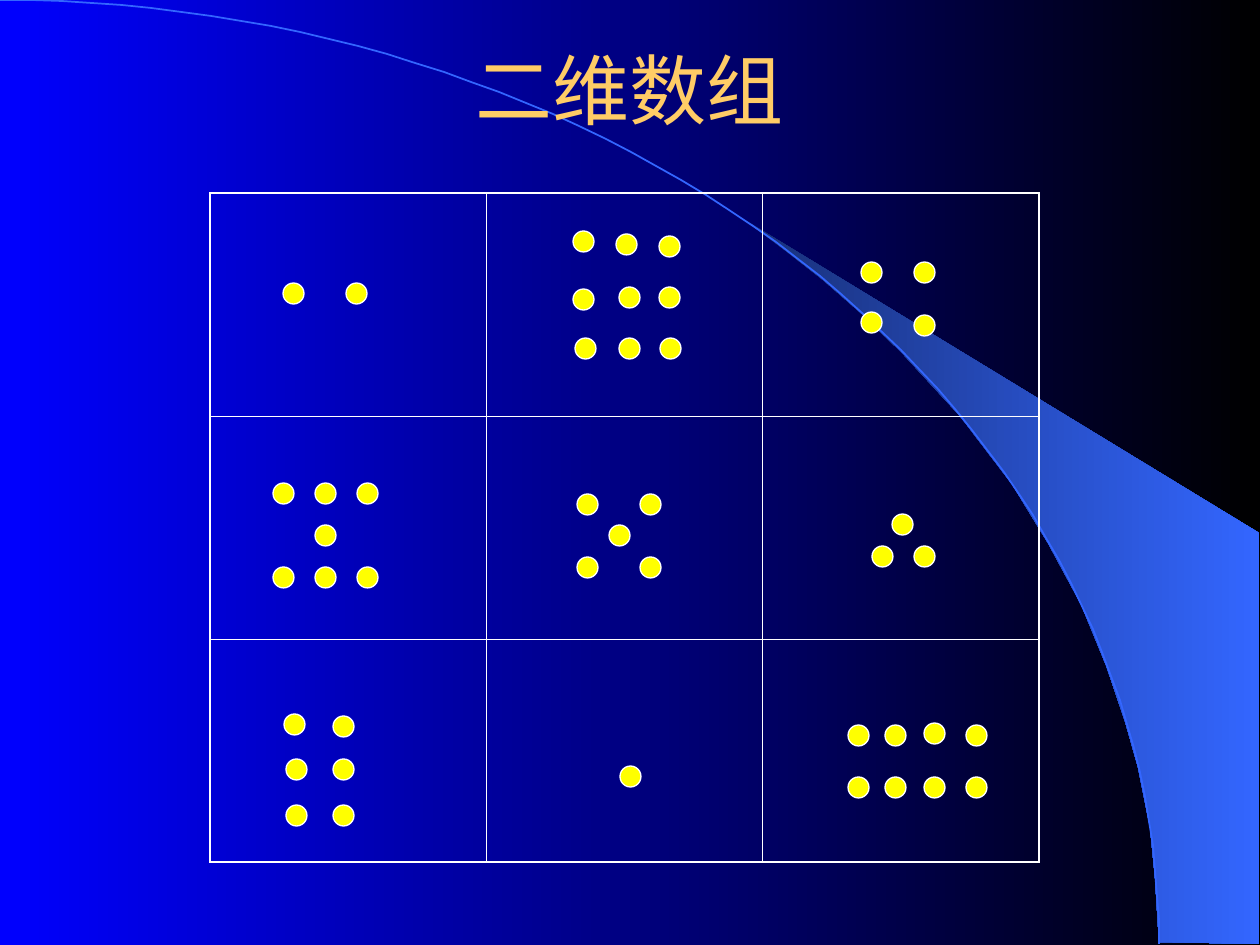
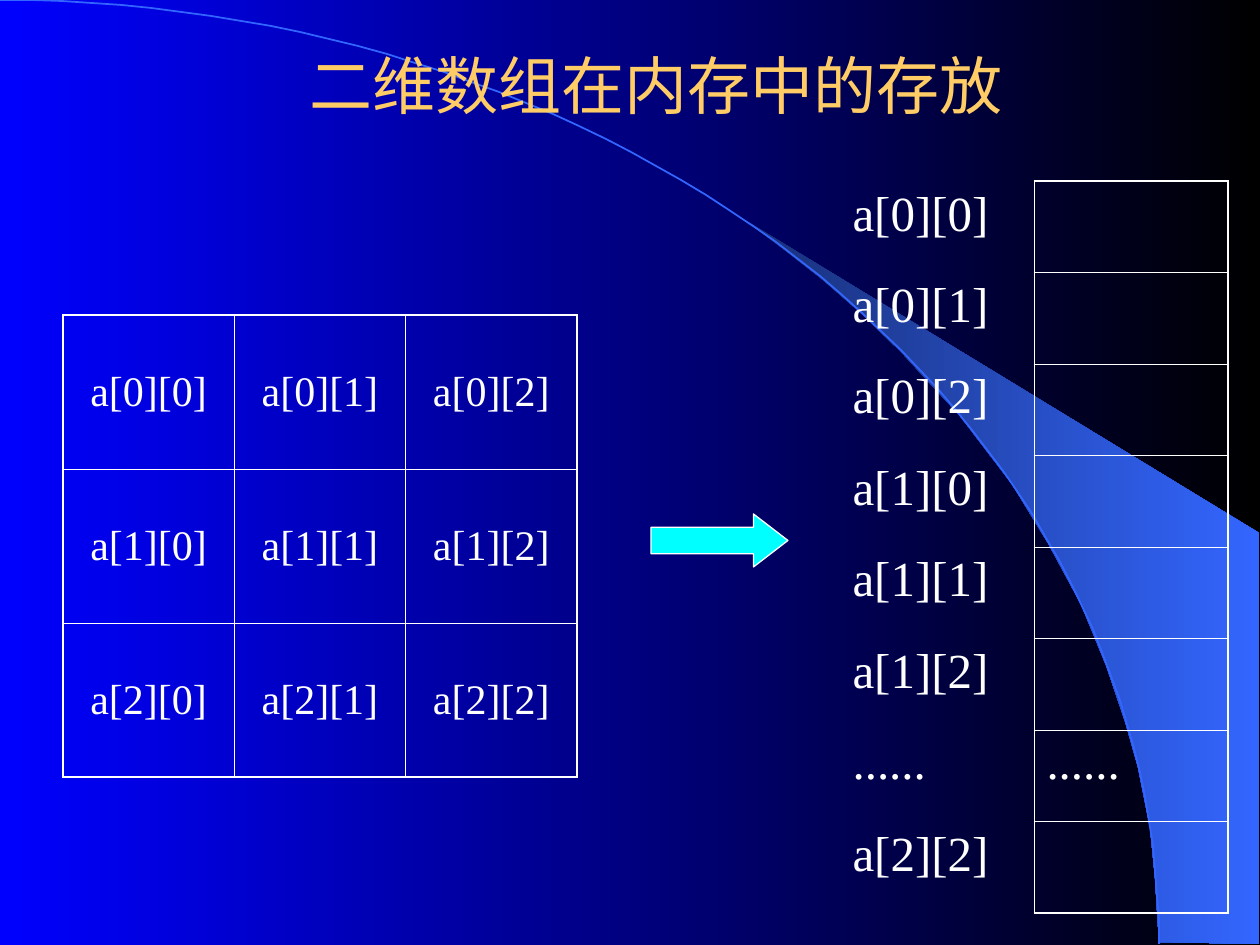
"""Build two slides on two-dimensional arrays and how memory holds them."""
from itertools import product
from math import cos, pi, sin

from lxml.etree import SubElement
from pptx import Presentation
from pptx.dml.color import RGBColor
from pptx.enum.shapes import MSO_SHAPE as Preset
from pptx.enum.text import MSO_ANCHOR as Anchor, PP_ALIGN as Align
from pptx.oxml.ns import qn
from pptx.util import Emu, Pt

PX = 914400 / 126
WIDTH, HEIGHT = 1260, 945
COLORS = {
    "back_start": "0000FF", "back_end": "000000",
    "wing_start": "182F76", "wing_end": "3366FF",
    "title": "FFCC66", "white": "FFFFFF", "dot": "FFFF00", "arrow": "00FFFF",
}
FONTS = {"title": "Arial", "body": "Times New Roman"}
OUTER, INNER = 1.08, 0.45
DOT_SIZE = 21
WING = [
    (1159, 942), (1259, 944), (1259, 533), (742, 218), (786, 251), (823, 280),
    (863, 315), (902, 353), (960, 416), (1012, 484), (1048, 543), (1081, 604),
    (1106, 665), (1125, 721), (1138, 767), (1150, 827), (1155, 877),
]
DOTS = {
    2: [(283, 283), (346, 283)],
    9: [(573, 231), (616, 234), (659, 236), (573, 289), (619, 287), (659, 287),
        (575, 338), (619, 338), (660, 338)],
    4: [(861, 262), (914, 262), (861, 312), (914, 315)],
    7: [*product((273, 315, 357), (483, 567)), (315, 525)],
    5: [*product((577, 640), (494, 557)), (609, 525)],
    3: [(892, 514), (872, 546), (914, 546)],
    6: [(284, 714), (333, 716), (286, 759), (333, 759), (286, 805), (333, 805)],
    1: [(620, 766)],
    8: [*product((848, 885, 966), (725, 777)), (924, 723), (924, 777)],
}


def px(*lengths):
    """Turn pixel lengths into EMU."""
    return [Emu(round(length * PX)) for length in lengths]


def color(name):
    """Look up a named colour."""
    return RGBColor.from_string(COLORS[name])


def apply_format(target, values):
    """Set every given attribute on the target."""
    for name, value in values.items():
        setattr(target, name, value)


def fill_gradient(fill, start, end):
    """Fill from left to right between two named colours."""
    fill.gradient()
    fill.gradient_angle = 0
    for stop, name in zip(fill.gradient_stops, (start, end)):
        stop.color.rgb = color(name)


def set_line(shape, name, width):
    """Give the shape an outline and no shadow."""
    shape.shadow.inherit = False
    shape.line.color.rgb = color(name)
    shape.line.width = Pt(width)


def write_text(frame, text, font_name, size, color_name, align):
    """Write one formatted paragraph into a text frame."""
    paragraph = frame.paragraphs[0]
    paragraph.alignment = align
    run = paragraph.add_run()
    run.text = text
    apply_format(run.font, {"name": FONTS[font_name], "size": Pt(size), "bold": False})
    run.font.color.rgb = color(color_name)


def add_outline(slide, points, close):
    """Draw a freeform through pixel points."""
    builder = slide.shapes.build_freeform(*points[0], scale=PX)
    builder.add_line_segments(points[1:], close=close)
    shape = builder.convert_to_shape()
    shape.shadow.inherit = False
    return shape


def add_title(slide, text, size, box):
    """Add the centred slide title."""
    frame = slide.shapes.add_textbox(*px(*box)).text_frame
    apply_format(frame, {"word_wrap": True, "vertical_anchor": Anchor.MIDDLE})
    write_text(frame, text, "title", size, "title", Align.CENTER)


def add_themed_slide(presentation, title, size, title_box):
    """Add a slide with the gradient, the wing, the arc and a title."""
    slide = presentation.slides.add_slide(presentation.slide_layouts[6])
    fill_gradient(slide.background.fill, "back_start", "back_end")
    wing = add_outline(slide, WING, True)
    fill_gradient(wing.fill, "wing_start", "wing_end")
    wing.line.fill.background()
    angles = [step * pi / 120 for step in range(61)]
    arc = add_outline(slide, [(1159 * sin(a), 944 * (1 - cos(a))) for a in angles], False)
    arc.fill.background()
    set_line(arc, "wing_end", 1)
    add_title(slide, title, size, title_box)
    return slide


def add_solid(slide, preset, box, fill_name):
    """Add a filled preset shape with a thin white outline."""
    shape = slide.shapes.add_shape(preset, *px(*box))
    shape.fill.solid()
    shape.fill.fore_color.rgb = color(fill_name)
    set_line(shape, "white", 0.75)
    return shape


def set_borders(cell, widths):
    """Set cell borders by side, where a width of 0 hides the side."""
    properties = cell._tc.get_or_add_tcPr()
    for side in "LRTB":
        width = widths[side]
        line = SubElement(properties, qn(f"a:ln{side}"), w=str(int(Pt(width))))
        if width:
            solid = SubElement(line, qn("a:solidFill"))
            SubElement(solid, qn("a:srgbClr"), val=COLORS["white"])
        else:
            SubElement(line, qn("a:noFill"))


def add_grid(slide, box, rows, size=24, align=Align.CENTER, anchor=Anchor.MIDDLE, labels=0):
    """Add a clear table whose first label columns stay without frame."""
    row_count, column_count = len(rows), len(rows[0])
    table = slide.shapes.add_table(row_count, column_count, *px(*box)).table
    apply_format(table, {"first_row": False, "horz_banding": False})
    for column in table.columns:
        column.width = px(box[2] / column_count)[0]
    for row in table.rows:
        row.height = px(box[3] / row_count)[0]
    for r, c in product(range(row_count), range(column_count)):
        cell = table.cell(r, c)
        if c < labels:
            widths = {"L": 0, "R": INNER if c == labels - 1 else 0, "T": 0, "B": 0}
        else:
            edges = {"L": c == 0, "R": c == column_count - 1, "T": r == 0, "B": r == row_count - 1}
            widths = {side: OUTER if edge else INNER for side, edge in edges.items()}
        set_borders(cell, widths)
        cell.fill.background()
        cell.vertical_anchor = anchor
        if rows[r][c]:
            write_text(cell.text_frame, rows[r][c], "body", size, "white", align)


def build_dots_slide(presentation):
    """Show a square of dot counts."""
    slide = add_themed_slide(presentation, "二维数组", 44, (94, 10, 1071, 158))
    for positions in DOTS.values():
        for left, top in positions:
            add_solid(slide, Preset.OVAL, (left, top, DOT_SIZE, DOT_SIZE), "dot")
    add_grid(slide, (210, 193, 829, 669), [[""] * 3] * 3)


def build_memory_slide(presentation):
    """Show the array beside its row-by-row place in memory."""
    slide = add_themed_slide(presentation, "二维数组在内存中的存放", 36, (294, 53, 724, 63))
    elements = [[f"a[{r}][{c}]" for c in range(3)] for r in range(3)]
    memory = [[name, ""] for name in elements[0] + elements[1]]
    memory += [["......", "......"], [elements[2][2], ""]]
    add_grid(slide, (840, 181, 388, 732), memory, 28, Align.LEFT, Anchor.TOP, labels=1)
    add_grid(slide, (63, 315, 514, 462), elements)
    arrow = add_solid(slide, Preset.RIGHT_ARROW, (651, 514, 137, 53), "arrow")
    arrow.adjustments[1] = 0.65


def main():
    """Build and save the presentation."""
    presentation = Presentation()
    presentation.slide_width, presentation.slide_height = px(WIDTH, HEIGHT)
    build_dots_slide(presentation)
    build_memory_slide(presentation)
    presentation.save("out.pptx")


if __name__ == "__main__":
    main()
